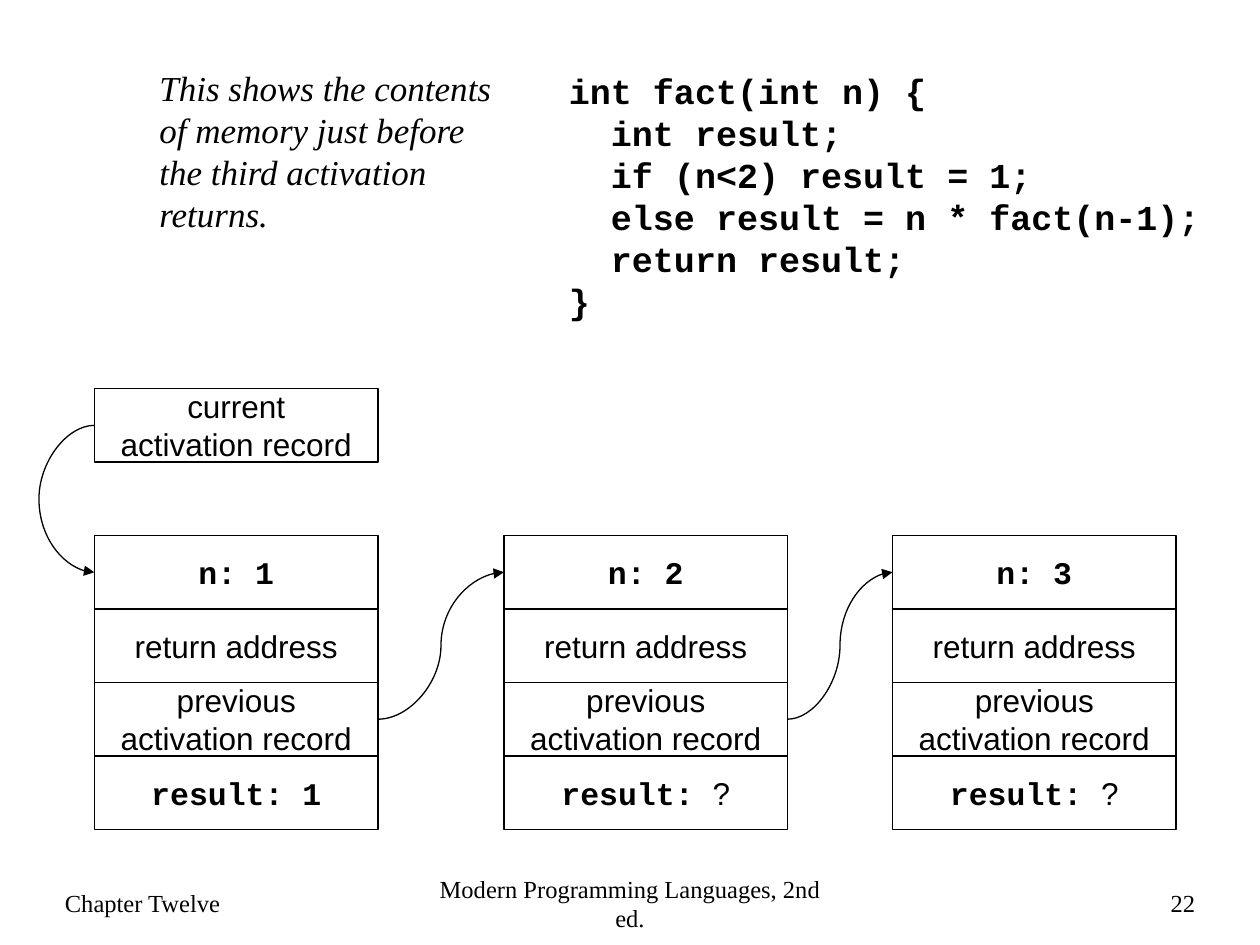
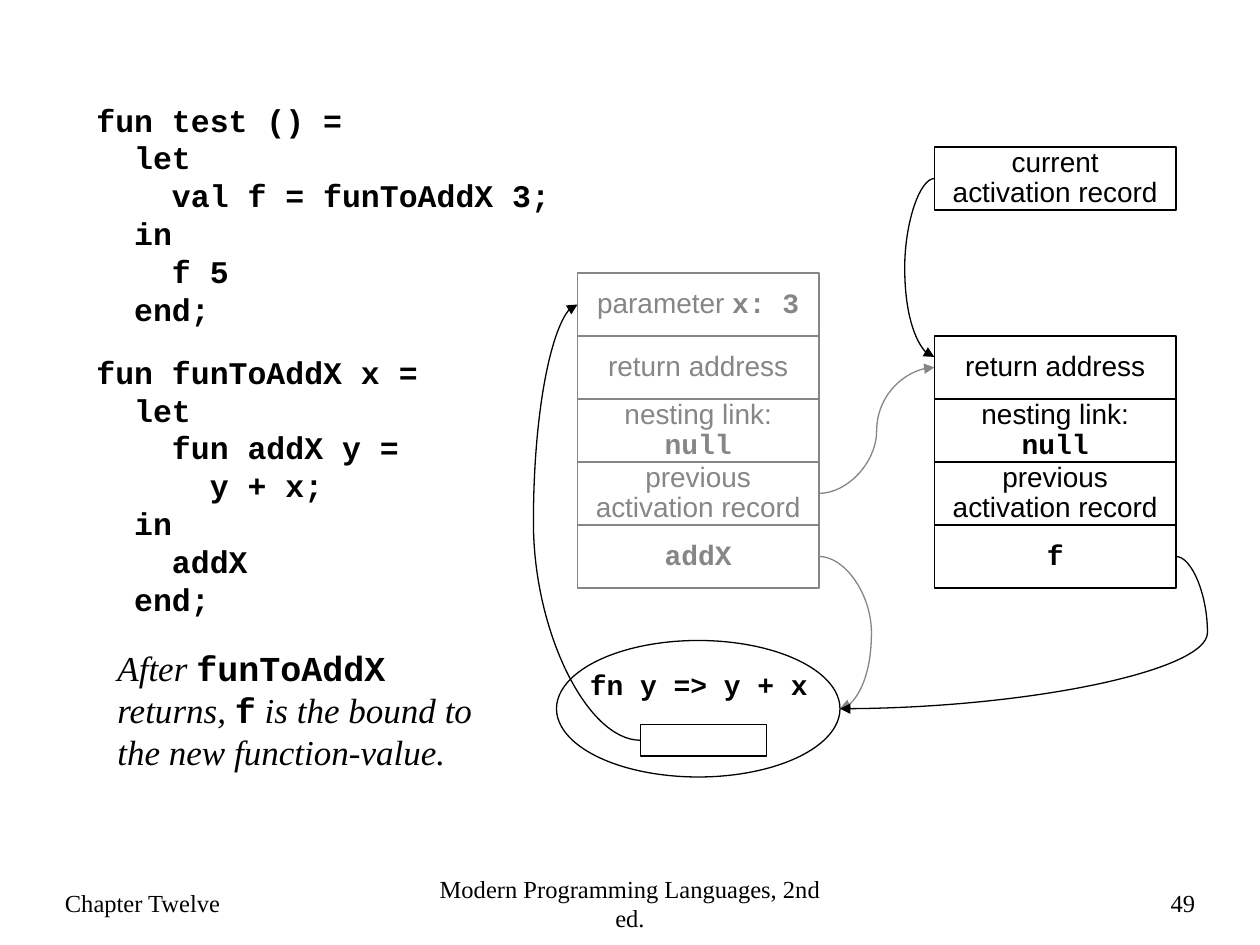
from dataclasses import dataclass
from typing import NamedTuple

from lxml import etree
from pptx import Presentation
from pptx import util as u
from pptx.dml.color import RGBColor
from pptx.enum import shapes, text
from pptx.oxml.ns import qn

# Grid: 120 columns by 90 rows of 1/12 inch on a 10 x 7.5 inch slide
COLS, ROWS = 120, 90
CELL = u.Inches(10) // COLS
BLACK, GRAY, WHITE = "000000", "868686", "FFFFFF"

# Font formats
SANS = {"name": "Arial", "bold": False, "italic": False}
MONO = {"name": "Courier New", "bold": True, "italic": False}
SERIF = {"name": "Times New Roman", "bold": False, "italic": False}
NOTE = {**SERIF, "italic": True}

LEFT, CENTER, RIGHT = text.PP_ALIGN.LEFT, text.PP_ALIGN.CENTER, text.PP_ALIGN.RIGHT
TOP, MIDDLE = text.MSO_ANCHOR.TOP, text.MSO_ANCHOR.MIDDLE
RECT, OVAL = shapes.MSO_SHAPE.RECTANGLE, shapes.MSO_SHAPE.OVAL


class Run(NamedTuple):
    text: str
    font: dict


class Box(NamedTuple):
    col: float
    row: float
    cols: float
    rows: float


@dataclass
class Look:
    """How the text of a box is set."""
    size: float
    color: str = BLACK
    align: int = LEFT
    anchor: int = TOP
    spacing: float = 0


@dataclass
class Record:
    """Activation record: equal fields stacked downwards."""
    col: float
    row: float
    cols: float
    field_rows: float
    look: Look
    fields: list


@dataclass
class Link:
    """Curved arrow that leaves and arrives level, bending at one column."""
    start: tuple
    end: tuple
    bend: float
    color: str = BLACK


def rgb(color: str) -> RGBColor:
    return RGBColor.from_string(color)


def grid(*cells: float) -> list:
    return [u.Emu(round(c * CELL)) for c in cells]


def write(sp, runs: list, look: Look) -> None:
    tf = sp.text_frame
    tf.word_wrap, tf.vertical_anchor = True, look.anchor
    p = tf.paragraphs[0]
    p.alignment = look.align
    if look.spacing:
        p.line_spacing = u.Pt(look.spacing)
    for run in runs:
        for i, line in enumerate(run.text.split("\n")):
            if i:
                p.add_line_break()
            r = p.add_run()
            r.text = line
            for key, value in {**run.font, "size": u.Pt(look.size)}.items():
                setattr(r.font, key, value)
            r.font.color.rgb = rgb(look.color)


def add_text(s, box: Box, runs: list, look: Look) -> None:
    write(s.shapes.add_textbox(*grid(*box)), runs, look)


def add_outline(s, kind: int, box: Box, color: str = BLACK, fill: str = ""):
    sp = s.shapes.add_shape(kind, *grid(*box))
    sp.shadow.inherit = False
    if fill:
        sp.fill.solid()
        sp.fill.fore_color.rgb = rgb(fill)
    else:
        sp.fill.background()
    sp.line.color.rgb, sp.line.width = rgb(color), u.Pt(0.75)
    return sp


def add_record(s, rec: Record) -> None:
    for i, runs in enumerate(rec.fields):
        box = Box(rec.col, rec.row + i * rec.field_rows, rec.cols, rec.field_rows)
        write(add_outline(s, RECT, box, rec.look.color), runs, rec.look)


def add_link(s, link: Link) -> None:
    (x0, y0), (x1, y1) = link.start, link.end
    if x0 == x1:  # the bend is a share of the width, so it may not be zero
        x1 -= 0.02
    sp = s.shapes.add_connector(shapes.MSO_CONNECTOR.CURVE, *grid(x0, y0, x1, y1))
    sp.line.color.rgb, sp.line.width = rgb(link.color), u.Pt(0.75)
    pr = sp._element.spPr
    # A half turn replaces the horizontal flip when the curve leaves to the left
    if x1 < x0 and link.bend < x0:
        xfrm = pr.find(qn("a:xfrm"))
        flip_v = xfrm.get("flipV") == "1"
        xfrm.attrib.pop("flipH", None)
        xfrm.set("rot", "10800000")
        xfrm.set("flipV", "0" if flip_v else "1")
    guides = pr.find(qn("a:prstGeom")).find(qn("a:avLst"))
    share = round((link.bend - x0) / (x1 - x0) * 100000)
    etree.SubElement(guides, qn("a:gd"), name="adj1", fmla=f"val {share}")
    etree.SubElement(pr.find(qn("a:ln")), qn("a:tailEnd"), type="triangle")
    etree.SubElement(pr, qn("a:effectLst"))


def add_slide(prs, number: int):
    """Blank slide with the shared footer."""
    s = prs.slides.add_slide(prs.slide_layouts[6])
    for col, cols, label, align in (
        (5, 27, "Chapter Twelve", LEFT),
        (40, 40, "Modern Programming Languages, 2nd ed.", CENTER),
        (90, 25, str(number), RIGHT),
    ):
        add_text(s, Box(col, 83, cols, 6), [Run(label, SERIF)],
                 Look(14, align=align, anchor=MIDDLE))
    return s


def factorial_slide(prs) -> None:
    s = add_slide(prs, 22)
    code = ("int fact(int n) {\n  int result;\n  if (n<2) result = 1;\n"
            "  else result = n * fact(n-1);\n  return result;\n}")
    add_text(s, Box(53, 6, 64, 25), [Run(code, MONO)], Look(20))
    add_text(s, Box(14, 5.75, 35, 17), [Run(
        "This shows the contents of memory just before the third activation returns.",
        NOTE)], Look(20))

    # Pointer to the current record, then one record for each call
    look = Look(18, align=CENTER, anchor=MIDDLE)
    width, height, top = 27, 7, 51
    add_record(s, Record(9, 37, width, height, look,
                         [[Run("current\nactivation record", SANS)]]))
    columns = (9, 48, 85)
    results = ([Run("result: 1", MONO)],) + ([Run("result: ", MONO), Run("?", SANS)],) * 2
    for n, (col, result) in enumerate(zip(columns, results), 1):
        add_record(s, Record(col, top, width, height, look, [
            [Run(f"n: {n}", MONO)],
            [Run("return address", SANS)],
            [Run("previous activation record", SANS)],
            result,
        ]))

    # Links between the records
    first, previous = top + height / 2, top + 2.5 * height
    add_link(s, Link((9, 40.5), (9, first), 3.4))
    for col, following in zip(columns, columns[1:]):
        right = col + width
        add_link(s, Link((right, previous), (following, first), (right + following) / 2))


def closure_slide(prs) -> None:
    s = add_slide(prs, 49)
    test = "fun test () =\n  let\n    val f = funToAddX 3;\n  in\n    f 5\n  end;"
    maker = ("fun funToAddX x =\n  let\n    fun addX y = \n      y + x;\n"
             "  in\n    addX\n  end;")
    add_text(s, Box(8, 9, 46, 23), [Run(test, MONO)], Look(18))
    add_text(s, Box(8, 33, 34.5, 26.5), [Run(maker, MONO)], Look(18))
    add_text(s, Box(10, 61, 39, 13), [
        Run("After ", NOTE), Run("funToAddX", MONO), Run(" returns, ", NOTE),
        Run("f", MONO), Run(" is the bound to the new function-value.", NOTE),
    ], Look(20))

    # Function value
    add_outline(s, OVAL, Box(53, 61, 27, 13))
    add_text(s, Box(55, 63, 24, 4.5), [Run("fn y => y + x", MONO)], Look(16))
    add_outline(s, RECT, Box(61, 69, 12, 3), fill=WHITE)

    # Finished record in gray, live one in black; the middle fields are alike
    live = Look(16, BLACK, CENTER, MIDDLE, 17.2)
    done = Look(16, GRAY, CENTER, MIDDLE, 17.2)
    common = [
        [Run("return address", SANS)],
        [Run("nesting link: ", SANS), Run("null", MONO)],
        [Run("previous\nactivation record", SANS)],
    ]
    for rec in (
        Record(55, 26, 23, 6, done, [[Run("parameter ", SANS), Run("x: 3", MONO)],
                                     *common, [Run("addX", MONO)]]),
        Record(89, 14, 23, 6, live, [[Run("current\nactivation record", SANS)]]),
        Record(89, 32, 23, 6, live, [*common, [Run("f", MONO)]]),
    ):
        add_record(s, rec)

    # Links between records and function value
    for link in (
        Link((89, 17), (89, 34), 86),
        Link((78, 53), (80, 67.5), 83, GRAY),
        Link((61, 70.5), (55, 29), 50.8),
        Link((78, 47), (89, 35), 83.5, GRAY),
        Link((112, 53), (80, 67.5), 115),
    ):
        add_link(s, link)


prs = Presentation()
prs.slide_width, prs.slide_height = grid(COLS, ROWS)
factorial_slide(prs)
closure_slide(prs)
prs.save("out.pptx")
